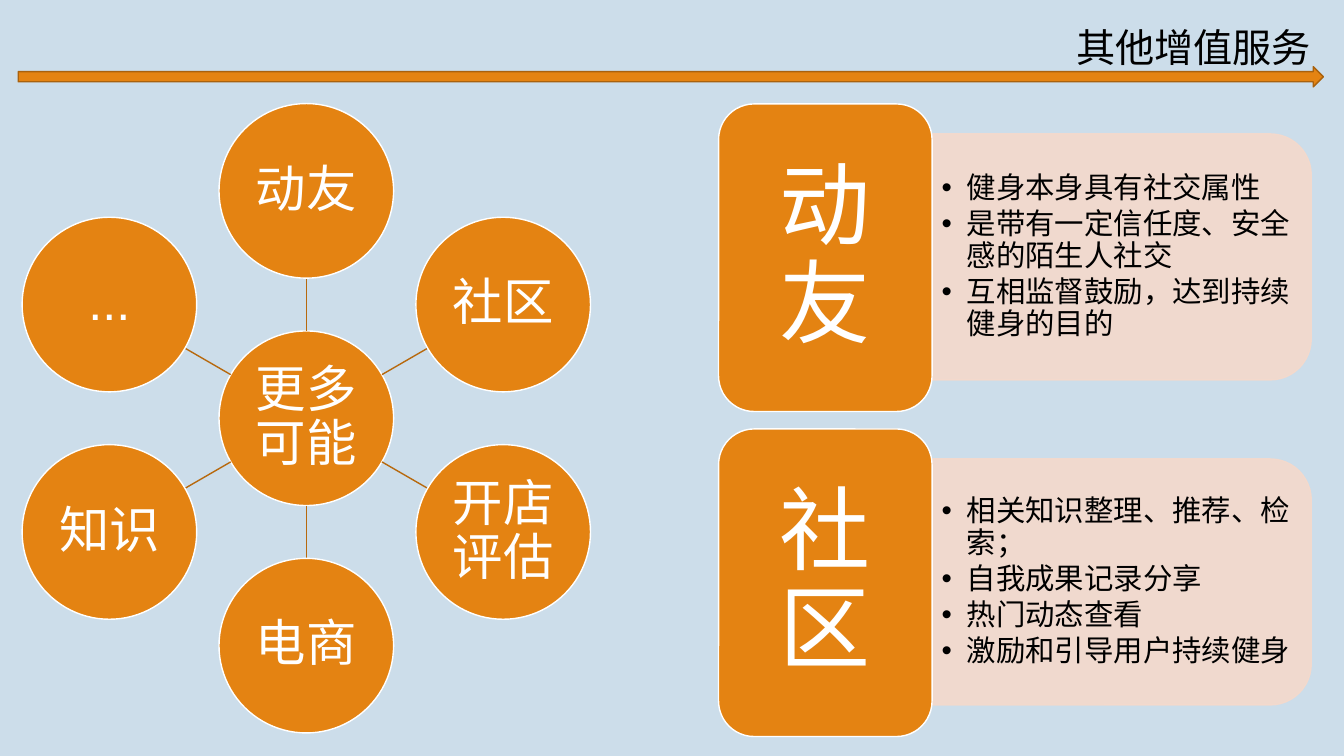
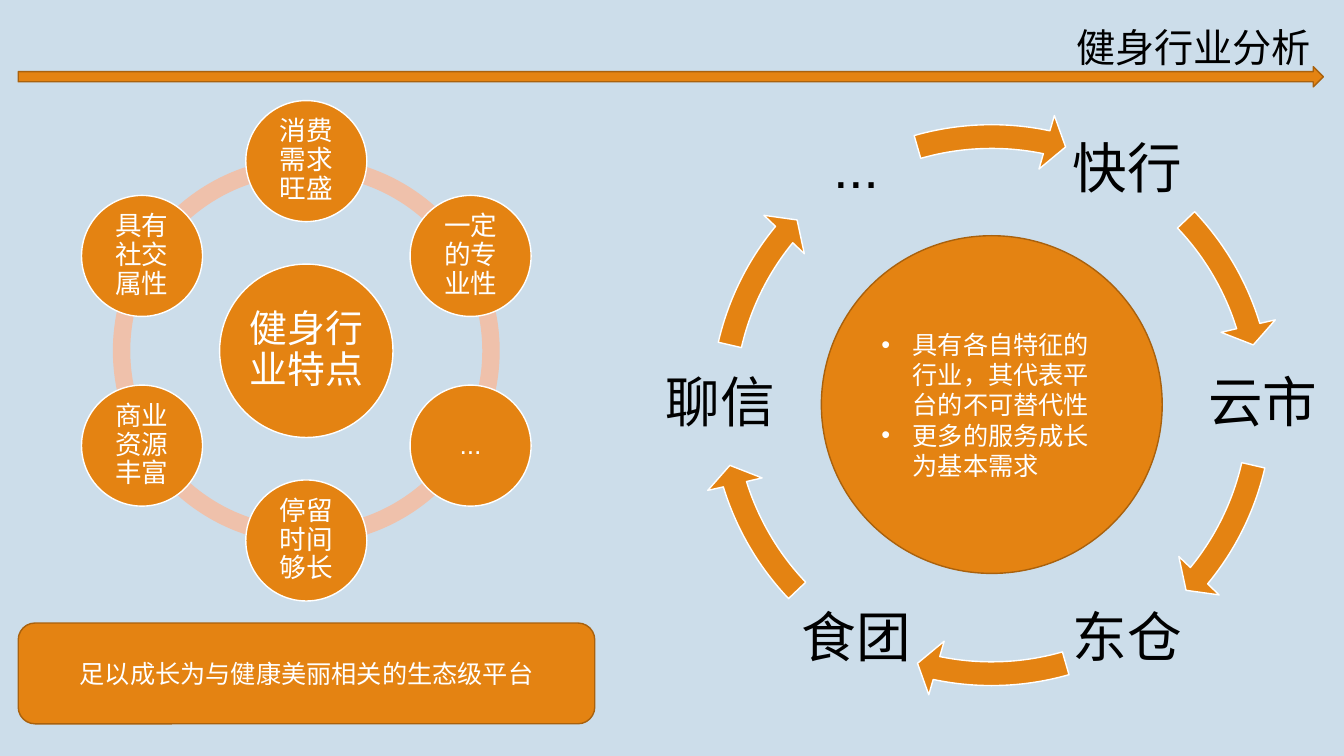
from dataclasses import dataclass
from math import cos, radians, sin
from typing import Optional

from lxml import etree
from pptx import Presentation
from pptx import util as u
from pptx.dml.color import RGBColor
from pptx.enum import lang, shapes, text
from pptx.oxml import ns

BACKGROUND = RGBColor(0xCC, 0xDD, 0xEA)
ORANGE = RGBColor(0xE4, 0x83, 0x12)
DARK_ORANGE = RGBColor(0xA9, 0x61, 0x0D)
SPOKE = RGBColor(0xB7, 0x69, 0x0E)
PANEL = RGBColor(0xF5, 0xD9, 0xCC)
RING = RGBColor(0xEF, 0xC1, 0xAB)
WHITE = RGBColor(0xFF, 0xFF, 0xFF)
BLACK = RGBColor(0x00, 0x00, 0x00)
FONT = "Arial"
STEP = 60
ANGLE_UNIT = 0.6
PRESET = shapes.MSO_SHAPE


@dataclass(frozen=True)
class Box:
    left: float
    top: float
    width: float
    height: float

    def lengths(self) -> tuple:
        return tuple(u.Cm(value) for value in (self.left, self.top, self.width, self.height))

    def down(self, distance: float) -> "Box":
        return Box(self.left, self.top + distance, self.width, self.height)


@dataclass(frozen=True)
class Style:
    size: float
    color: RGBColor = WHITE
    align: text.PP_ALIGN = text.PP_ALIGN.CENTER
    anchor: text.MSO_ANCHOR = text.MSO_ANCHOR.MIDDLE
    inset_x: float = 0.25
    inset_y: float = 0.13
    line_spacing: float = 0.9
    space_after: float = 0
    indent: float = 0


@dataclass(frozen=True)
class Wheel:
    x: float
    y: float
    radius: float

    def point(self, angle: float, radius: Optional[float] = None) -> tuple:
        reach = self.radius if radius is None else radius
        return self.x + reach * cos(radians(angle)), self.y + reach * sin(radians(angle))

    def square(self, size: float, angle: Optional[float] = None) -> Box:
        x, y = (self.x, self.y) if angle is None else self.point(angle)
        return Box(x - size / 2, y - size / 2, size, size)


@dataclass(frozen=True)
class Card:
    name: str
    points: tuple


TITLE = Style(28, BLACK, text.PP_ALIGN.LEFT, text.MSO_ANCHOR.TOP, line_spacing=1)
TITLE_BOX = Box(26.87, 0.46, 6.5, 1.45)
BAND_BOX = Box(0.46, 1.68, 32.89, 0.51)

HUB_STYLE = Style(36, inset_x=0.08, inset_y=0.08)
SERVICES = Wheel(7.72, 10.54, 5.73)
SERVICE_SIZE = 4.4
SERVICE_NAMES = ("动友", "社区", "开店\n评估".replace("\n", ""), "电商", "知识", "...")

CARD_NAME = Style(65, inset_x=0.69, inset_y=0.36)
CARD_LIST = Style(21, BLACK, text.PP_ALIGN.LEFT, inset_x=0.23, inset_y=0.1,
                  space_after=3, indent=0.63)
CARD_BOX = Box(18.11, 2.62, 5.38, 7.75)
CARD_PANEL = Box(25.17, 1.7, 6.2, 9.55)
CARD_LIST_BOX = Box(23.5, 3.68, 9.3, 5.59)
CARD_PITCH = 8.19
CARDS = (
    Card("动友", ("健身本身具有社交属性", "是带有一定信任度、安全感的陌生人社交",
                "互相监督鼓励，达到持续健身的目的")),
    Card("社区", ("相关知识整理、推荐、检索；", "自我成果记录分享", "热门动态查看",
                "激励和引导用户持续健身")),
)

TRAITS = Wheel(7.72, 8.84, 4.78)
TRAIT_STYLE = Style(19, inset_x=0.08, inset_y=0.08)
TRAIT_HUB_STYLE = Style(27, inset_x=0.1, inset_y=0.1)
TRAIT_NAMES = ("消费需求旺盛", "一定的专业性", "...", "停留时间够长", "商业资源丰富", "具有社交属性")

PLATFORMS = Wheel(24.99, 10.21, 6.83)
PLATFORM_STYLE = Style(39, BLACK, inset_x=0.13, inset_y=0.13)
PLATFORM_NAMES = ("快行", "云市", "东仓", "食团", "聊信", "...")
ARROW_SPANS = ((-43.61, -17.12), (12.95, 39.43), (73.98, 101.84))
DISC_BOX = Box(20.7, 5.94, 8.59, 8.51)
DISC_LIST_BOX = Box(21.96, 7.19, 6.07, 6.02)
DISC_LIST = Style(18, align=text.PP_ALIGN.LEFT, line_spacing=1, indent=0.79)
DISC_POINTS = ("具有各自特征的行业，其代表平台的不可替代性", "更多的服务成长为基本需求")
CONCLUSION_BOX = Box(0.46, 15.7, 14.53, 2.54)
CONCLUSION_STYLE = Style(18, line_spacing=1)


def write(shape, lines: tuple, style: Style) -> None:
    frame = shape.text_frame
    frame.text = "\n".join(lines)
    frame.word_wrap = True
    frame.auto_size = text.MSO_AUTO_SIZE.NONE
    frame.vertical_anchor = style.anchor
    frame.margin_left = frame.margin_right = u.Cm(style.inset_x)
    frame.margin_top = frame.margin_bottom = u.Cm(style.inset_y)
    for paragraph in frame.paragraphs:
        paragraph.alignment = style.align
        paragraph.line_spacing = style.line_spacing
        paragraph.space_before = u.Pt(0)
        paragraph.space_after = u.Pt(style.space_after)
        if style.indent:
            add_bullet(paragraph, style.indent)
        for run in paragraph.runs:
            run.font.name = FONT
            run.font.size = u.Pt(style.size)
            run.font.color.rgb = style.color
            run.font.language_id = lang.MSO_LANGUAGE_ID.SIMPLIFIED_CHINESE


def add_bullet(paragraph, indent: float) -> None:
    properties = paragraph._p.get_or_add_pPr()
    properties.set("marL", str(u.Cm(indent)))
    properties.set("indent", str(-u.Cm(indent)))
    etree.SubElement(properties, ns.qn("a:buFont")).set("typeface", FONT)
    etree.SubElement(properties, ns.qn("a:buChar")).set("char", "•")


def add_preset(slide, preset, box: Box, fill: RGBColor = ORANGE,
               line: Optional[RGBColor] = WHITE, adjustments: tuple = ()):
    shape = slide.shapes.add_shape(preset, *box.lengths())
    shape.shadow.inherit = False
    shape.fill.solid()
    shape.fill.fore_color.rgb = fill
    if line is None:
        shape.line.fill.background()
    else:
        shape.line.color.rgb = line
        shape.line.width = u.Pt(1)
    for index, value in enumerate(adjustments):
        shape.adjustments[index] = value
    return shape


def add_circle(slide, box: Box, label: str, style: Style) -> None:
    write(add_preset(slide, PRESET.OVAL, box), (label,), style)


def add_spoke(slide, start: tuple, end: tuple) -> None:
    ends = [u.Cm(value) for value in start + end]
    spoke = slide.shapes.add_connector(shapes.MSO_CONNECTOR.STRAIGHT, *ends)
    spoke.line.color.rgb = SPOKE
    spoke.line.width = u.Pt(1)
    etree.SubElement(spoke._element.spPr, ns.qn("a:effectLst"))


def fill_placeholder(placeholder, box: Box, lines: tuple, style: Style) -> None:
    placeholder.left, placeholder.top, placeholder.width, placeholder.height = box.lengths()
    write(placeholder, lines, style)
    element = placeholder.element
    element.getparent().append(element)


def start_slide(presentation, layout_index: int, title: str):
    slide = presentation.slides.add_slide(presentation.slide_layouts[layout_index])
    add_preset(slide, PRESET.RIGHT_ARROW, BAND_BOX, line=DARK_ORANGE)
    fill_placeholder(slide.shapes.title, TITLE_BOX, (title,), TITLE)
    return slide


def add_card(slide, card: Card, placeholder, offset: float) -> None:
    panel = add_preset(slide, PRESET.ROUND_2_SAME_RECTANGLE, CARD_PANEL.down(offset), PANEL, PANEL)
    panel.rotation = 90
    for color in panel.element.spPr.iter(ns.qn("a:srgbClr")):
        etree.SubElement(color, ns.qn("a:alpha")).set("val", "90000")
    fill_placeholder(placeholder, CARD_LIST_BOX.down(offset), card.points, CARD_LIST)
    tab = add_preset(slide, PRESET.ROUNDED_RECTANGLE, CARD_BOX.down(offset))
    write(tab, (card.name,), CARD_NAME)


def build_services(presentation) -> None:
    slide = start_slide(presentation, 3, "其他增值服务")
    add_circle(slide, SERVICES.square(SERVICE_SIZE), "更多可能", HUB_STYLE)
    edge = SERVICE_SIZE / 2
    for index, name in enumerate(SERVICE_NAMES):
        angle = index * STEP - 90
        add_spoke(slide, SERVICES.point(angle, edge),
                  SERVICES.point(angle, SERVICES.radius - edge))
        add_circle(slide, SERVICES.square(SERVICE_SIZE, angle), name, HUB_STYLE)
    for index, card in enumerate(CARDS):
        add_card(slide, card, slide.placeholders[index + 1], index * CARD_PITCH)


def add_traits(slide) -> None:
    for start in range(30, 390, STEP):
        span = (start * ANGLE_UNIT, (start + STEP) % 360 * ANGLE_UNIT, 0.045)
        add_preset(slide, PRESET.BLOCK_ARC, TRAITS.square(9.75), RING, None, span)
    add_circle(slide, TRAITS.square(4.37), "健身行业特点", TRAIT_HUB_STYLE)
    for index, name in enumerate(TRAIT_NAMES):
        add_circle(slide, TRAITS.square(3.05, index * STEP - 90), name, TRAIT_STYLE)


def add_platforms(slide) -> None:
    for index, name in enumerate(PLATFORM_NAMES):
        label_box = PLATFORMS.square(3.05, (index - 1) * STEP)
        write(slide.shapes.add_textbox(*label_box.lengths()), (name,), PLATFORM_STYLE)
        half_turns, position = divmod(index, len(ARROW_SPANS))
        start, end = ((angle + half_turns * 180) % 360 * ANGLE_UNIT
                      for angle in ARROW_SPANS[position])
        add_preset(slide, PRESET.CIRCULAR_ARROW, PLATFORMS.square(14.94),
                   adjustments=(0.04, 2.5, end, start, 0.047))
    add_preset(slide, PRESET.OVAL, DISC_BOX, line=DARK_ORANGE)
    fill_placeholder(slide.placeholders[1], DISC_LIST_BOX, DISC_POINTS, DISC_LIST)


def build_industry(presentation) -> None:
    slide = start_slide(presentation, 1, "健身行业分析")
    add_traits(slide)
    conclusion = add_preset(slide, PRESET.ROUNDED_RECTANGLE, CONCLUSION_BOX, line=DARK_ORANGE)
    write(conclusion, ("足以成长为与健康美丽相关的生态级平台",), CONCLUSION_STYLE)
    add_platforms(slide)


def main() -> None:
    presentation = Presentation()
    presentation.slide_width = u.Cm(33.87)
    presentation.slide_height = u.Cm(19.05)
    background = presentation.slide_master.background.fill
    background.solid()
    background.fore_color.rgb = BACKGROUND
    build_services(presentation)
    build_industry(presentation)
    presentation.save("out.pptx")


main()
